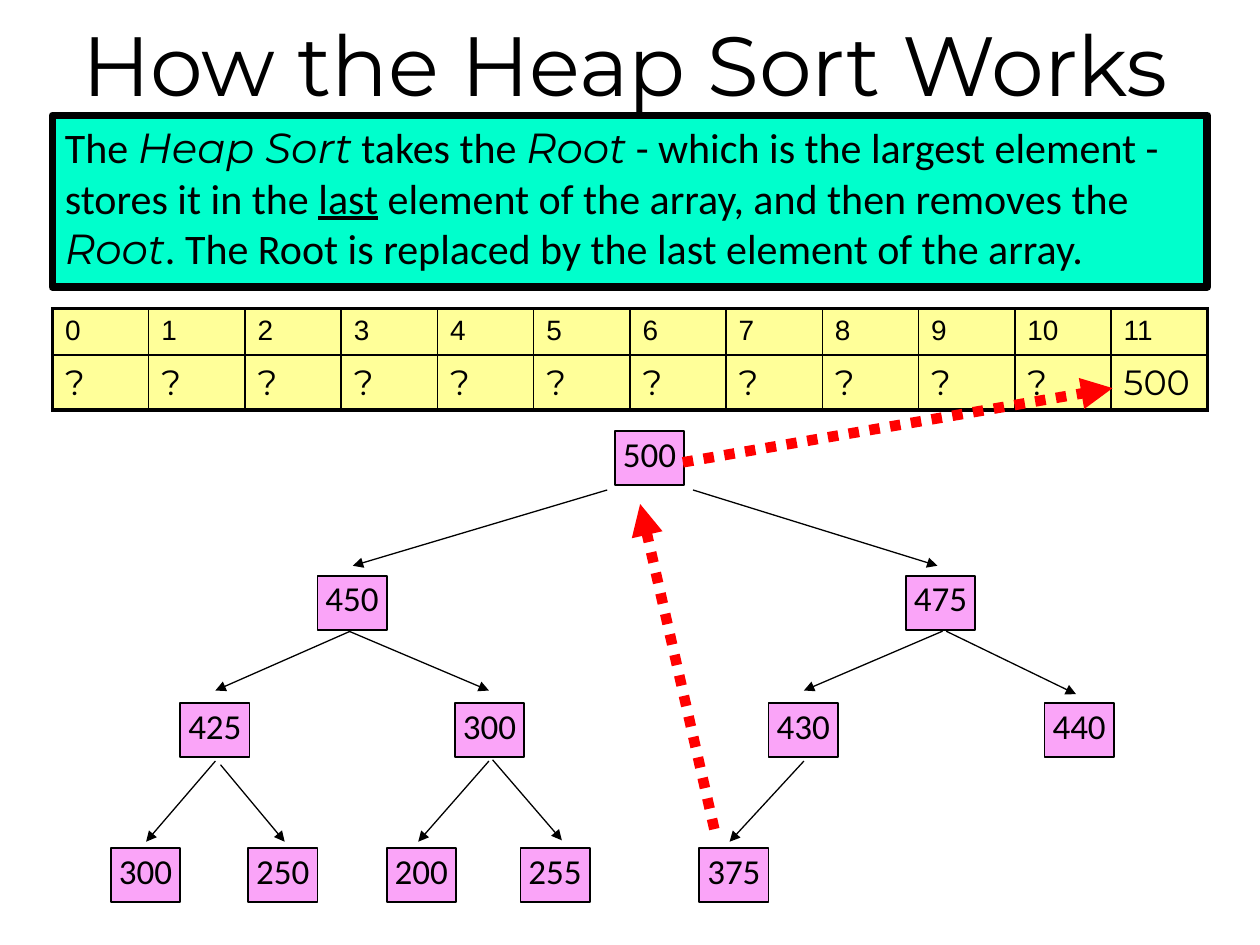
"""Build the slide that explains how a heap sort moves its root."""
from lxml import etree
from pptx import Presentation
from pptx.dml.color import RGBColor
from pptx.enum.dml import MSO_LINE
from pptx.enum.shapes import MSO_CONNECTOR, MSO_SHAPE
from pptx.enum.text import MSO_ANCHOR, PP_ALIGN
from pptx.oxml.ns import qn
from pptx.util import Pt

BLACK = RGBColor(0, 0, 0)
RED = RGBColor(0xFF, 0, 0)
MINT = RGBColor(0, 0xFF, 0xCC)
PINK = RGBColor(0xFA, 0xA4, 0xF8)
YELLOW = RGBColor(0xFF, 0xFF, 0x99)
RECTANGLE = MSO_SHAPE.RECTANGLE
STRAIGHT = MSO_CONNECTOR.STRAIGHT
DOTTED = MSO_LINE.ROUND_DOT
CENTER = PP_ALIGN.CENTER
LEFT = PP_ALIGN.LEFT
TOP = MSO_ANCHOR.TOP
MIDDLE = MSO_ANCHOR.MIDDLE
BODY, DISPLAY, INDEX = "Calibri", "Montserrat", "Arial"
THICK, THIN = 2.25, 1


class HeapSlide:
    def __init__(self, width, height):
        self.deck = Presentation()
        self.deck.slide_width, self.deck.slide_height = Pt(width), Pt(height)
        self.slide = self.deck.slides.add_slide(self.deck.slide_layouts[6])
        self.shapes = self.slide.shapes

    def style(self, run, size, font):
        run.font.size, run.font.name = Pt(size), font
        run.font.color.rgb = BLACK

    def title(self, text, left, top, width, height):
        frame = self.shapes.add_textbox(Pt(left), Pt(top), Pt(width), Pt(height)).text_frame
        frame.word_wrap = True
        frame.vertical_anchor = MIDDLE
        frame.text = text
        frame.paragraphs[0].alignment = CENTER
        self.style(frame.paragraphs[0].runs[0], 48, DISPLAY)

    def box(self, container, left, top, width, height, fill, border):
        box = container.add_shape(RECTANGLE, Pt(left), Pt(top), Pt(width), Pt(height))
        box.shadow.inherit = False
        box.fill.solid()
        box.fill.fore_color.rgb = fill
        box.line.color.rgb = BLACK
        box.line.width = Pt(border)
        box.text_frame.word_wrap = True
        box.text_frame.vertical_anchor = TOP
        return box.text_frame

    def explanation(self, pieces, left, top, width, height):
        paragraph = self.box(self.shapes, left, top, width, height, MINT, 4.5).paragraphs[0]
        paragraph.alignment = LEFT
        for text, emphasis in pieces:
            run = paragraph.add_run()
            run.text = text
            self.style(run, 24, DISPLAY if emphasis == "italic" else BODY)
            run.font.italic = emphasis == "italic"
            run.font.underline = emphasis == "underline"

    def node(self, container, value, left, top):
        frame = self.box(container, left, top, 39.6, 31, PINK, 1)
        frame.margin_left = frame.margin_right = Pt(0.72)
        frame.margin_top = frame.margin_bottom = Pt(0.72)
        frame.text = str(value)
        frame.paragraphs[0].alignment = CENTER
        self.style(frame.paragraphs[0].runs[0], 20, BODY)

    def arrow(self, container, ends, color=BLACK, width=0.75, dash=None):
        arrow = container.add_connector(STRAIGHT, *[Pt(value) for value in ends])
        arrow.line.color.rgb = color
        arrow.line.width = Pt(width)
        if dash is not None:
            arrow.line.dash_style = dash
        properties = arrow._element.spPr
        etree.SubElement(properties.find(qn("a:ln")), qn("a:tailEnd"), type="triangle")
        etree.SubElement(properties, qn("a:effectLst"))

    def cell_borders(self, cell, widths):
        properties = cell._tc.get_or_add_tcPr()
        for position, (side, width) in enumerate(widths.items()):
            line = etree.Element(qn(f"a:ln{side}"), w=str(Pt(width)))
            fill = etree.SubElement(line, qn("a:solidFill"))
            etree.SubElement(fill, qn("a:srgbClr"), val=str(BLACK))
            properties.insert(position, line)

    def array(self, rows, left, top, width):
        last_row, last_column = len(rows) - 1, len(rows[0][0]) - 1
        height = sum(row_height for _, row_height, _, _ in rows)
        table = self.shapes.add_table(last_row + 1, last_column + 1, Pt(left), Pt(top),
                                      Pt(width), Pt(height)).table
        table.first_row = table.horz_banding = False
        for column in table.columns:
            column.width = Pt(width / (last_column + 1))
        for r, (values, row_height, size, font) in enumerate(rows):
            table.rows[r].height = Pt(row_height)
            for c, value in enumerate(values):
                cell = table.cell(r, c)
                cell.text = str(value)
                self.style(cell.text_frame.paragraphs[0].runs[0], size, font)
                cell.fill.solid()
                cell.fill.fore_color.rgb = YELLOW
                self.cell_borders(cell, {
                    "L": THICK if c == 0 else THIN,
                    "R": THICK if c == last_column else THIN,
                    "T": THICK if r == 0 else THIN,
                    "B": THICK if r == last_row else THIN,
                })


EXPLANATION = [
    ("The ", None), ("Heap Sort", "italic"), (" takes the ", None), ("Root", "italic"),
    (" - which is the largest element - stores it in the ", None), ("last", "underline"),
    (" element of the array, and then removes the ", None), ("Root", "italic"),
    (". The Root is replaced by the last element of the array.", None),
]
LEVELS = [
    (246.2, [(500, 351.4)]),
    (329, [(450, 181.4), (475, 517.7)]),
    (401.8, [(425, 103), (300, 259.9), (430, 439.2), (440, 596.9)]),
    (484.6, [(300, 63.4), (250, 141.8), (200, 221), (255, 297.4), (375, 399.6)]),
]
BRANCHES = [
    (347, 280, 201.6, 323.3), (396, 280, 535.7, 323.3),
    (200.2, 360.7, 123.1, 394.6), (199.4, 360.7, 279.4, 394.6),
    (538.6, 360.7, 459.4, 394.6), (540.7, 360.7, 614.9, 396.7),
    (123.1, 434.9, 83.5, 481), (126, 437, 162.7, 481),
    (279.4, 434.9, 239, 481), (281.5, 434.2, 321.1, 480.2),
    (459.4, 434.9, 416.9, 481),
]
ROOT_TO_ARRAY = (390.2, 264.2, 635.8, 221.8)
LAST_TO_ROOT = (408.2, 473.8, 365.8, 288)

heap = HeapSlide(720, 540)
heap.title("How the Heap Sort Works", 0, 0, 714.2, 72)
heap.explanation(EXPLANATION, 30, 66, 660, 98)

tree = heap.shapes.add_group_shape().shapes
for level_top, nodes in LEVELS:
    for value, node_left in nodes:
        heap.node(tree, value, node_left, level_top)
for branch in BRANCHES:
    heap.arrow(tree, branch)

heap.array([(range(12), 26.2, 16, INDEX), (["?"] * 11 + [500], 31.4, 20, DISPLAY)],
           30, 176.4, 660)
for move in (ROOT_TO_ARRAY, LAST_TO_ROOT):
    heap.arrow(heap.shapes, move, RED, 6, DOTTED)

heap.deck.save("out.pptx")
